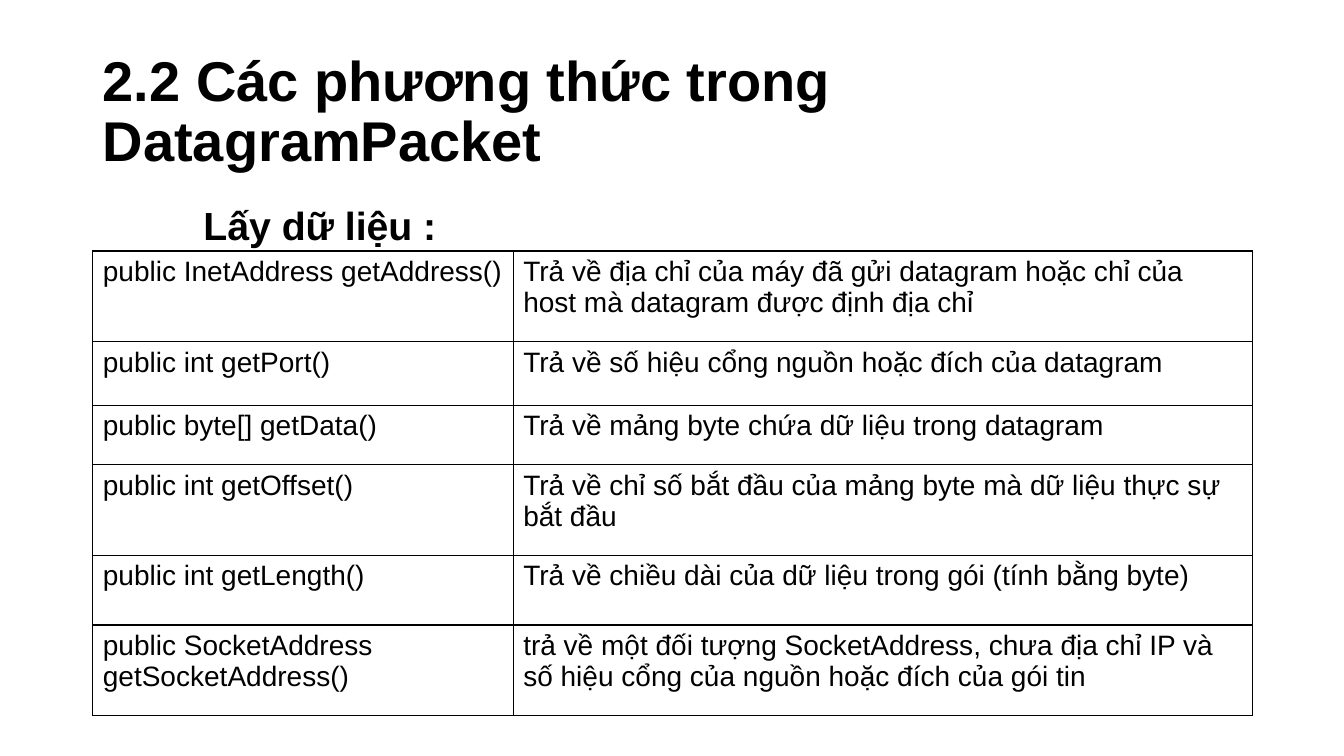
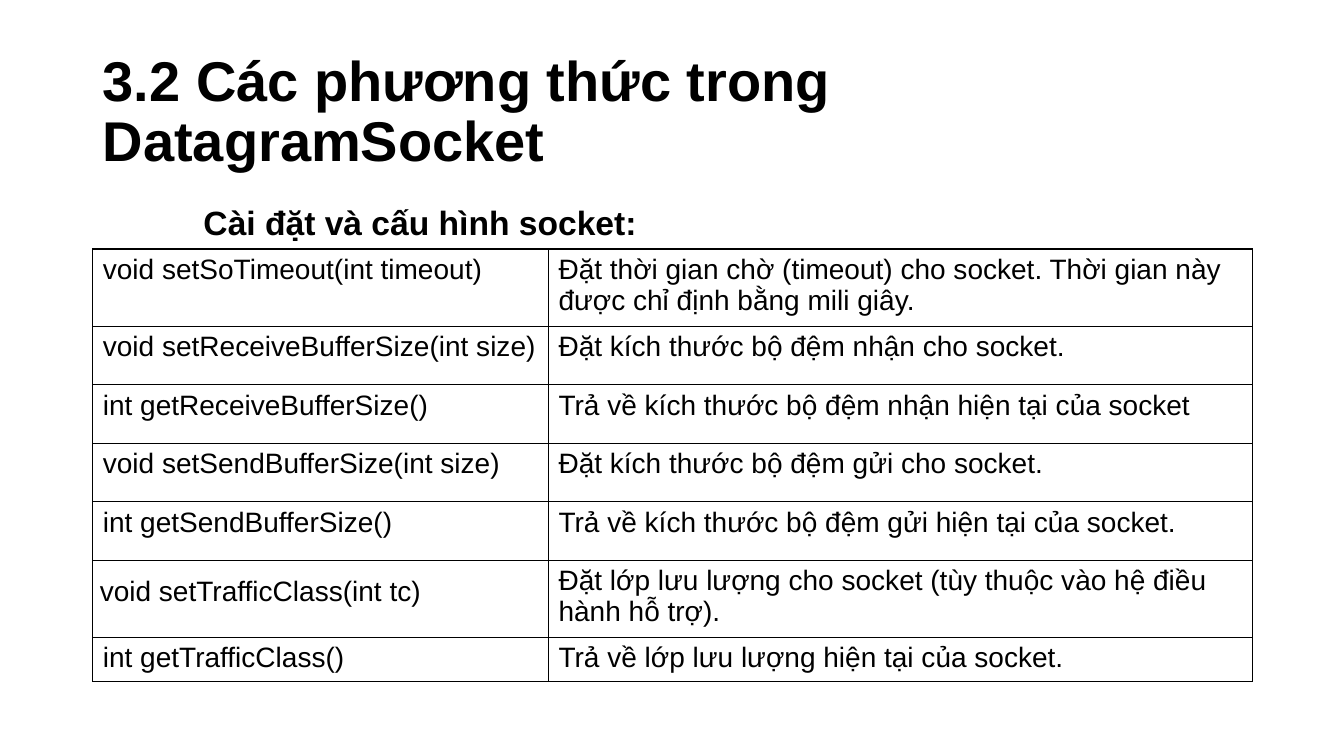
"""Two slides listing the methods of the Java datagram classes."""
from lxml.etree import SubElement
from pptx import Presentation
from pptx.dml.color import RGBColor
from pptx.enum.text import MSO_ANCHOR as Anchor, MSO_AUTO_SIZE as Fit, PP_ALIGN as Align
from pptx.oxml.ns import qn
from pptx.util import Inches, Pt

COLORS = {"ink": "000000"}
FONT = "Arial"
WIDE, HIGH = 13.33, 7.5
LEFT, SPAN = 0.92, 11.5

SLIDES = [
    {
        "title": "2.2 Các phương thức trong DatagramPacket",
        "head": "Lấy dữ liệu :",
        "size": 28,
        "top": 2.49,
        "first": 4.17,
        "rows": [
            (0.9, "public InetAddress getAddress()",
             "Trả về địa chỉ của máy đã gửi datagram hoặc chỉ của host mà datagram được định địa chỉ"),
            (0.63, "public int getPort()", "Trả về số hiệu cổng nguồn hoặc đích của datagram"),
            (0.59, "public byte[] getData()", "Trả về mảng byte chứa dữ liệu trong datagram"),
            (0.9, "public int getOffset()",
             "Trả về chỉ số bắt đầu của mảng byte mà dữ liệu thực sự bắt đầu"),
            (0.69, "public int getLength()",
             "Trả về chiều dài của dữ liệu trong gói (tính bằng byte)"),
            (0.9, "public SocketAddress getSocketAddress()",
             "trả về một đối tượng SocketAddress, chưa địa chỉ IP và số hiệu cổng của nguồn hoặc đích của gói tin"),
        ],
    },
    {
        "title": "3.2 Các phương thức trong DatagramSocket",
        "head": "Cài đặt và cấu hình socket:",
        "size": 24,
        "top": 2.47,
        "first": 4.52,
        "loose": 5,
        "rows": [
            (0.76, "void setSoTimeout(int timeout)",
             "Đặt thời gian chờ (timeout) cho socket. Thời gian này được chỉ định bằng mili giây."),
            (0.58, "void setReceiveBufferSize(int size)", "Đặt kích thước bộ đệm nhận cho socket."),
            (0.58, "int getReceiveBufferSize()", "Trả về kích thước bộ đệm nhận hiện tại của socket"),
            (0.58, "void setSendBufferSize(int size)", "Đặt kích thước bộ đệm gửi cho socket."),
            (0.58, "int getSendBufferSize()", "Trả về kích thước bộ đệm gửi hiện tại của socket."),
            (0.76, "void setTrafficClass(int tc)",
             "Đặt lớp lưu lượng cho socket (tùy thuộc vào hệ điều hành hỗ trợ)."),
            (0.43, "int getTrafficClass()", "Trả về lớp lưu lượng hiện tại của socket."),
        ],
    },
]


def write(frame, text, size, bold=False, lead=None):
    frame.text = text
    para = frame.paragraphs[0]
    para.alignment = Align.LEFT
    para.line_spacing = lead
    font = para.font
    font.name, font.size, font.bold = FONT, Pt(size), bold
    font.color.rgb = RGBColor.from_string(COLORS["ink"])


def edge(cell):
    props = cell._tc.get_or_add_tcPr()
    for side in "LRTB":
        line = SubElement(props, qn(f"a:ln{side}"), w=str(Pt(1)))
        fill = SubElement(line, qn("a:solidFill"))
        SubElement(fill, qn("a:srgbClr"), val=COLORS["ink"])
    cell.fill.background()


def add_title(slide, text):
    title = slide.shapes.title
    title.left, title.top = Inches(LEFT), Inches(0.4)
    title.width, title.height = Inches(SPAN), Inches(1.45)
    frame = title.text_frame
    frame.auto_size, frame.word_wrap = Fit.NONE, True
    frame.vertical_anchor = Anchor.MIDDLE
    write(frame, text, 40, True, 0.9)


def add_head(slide, text, size):
    box = slide.shapes.add_textbox(Inches(LEFT + 1), Inches(2), Inches(SPAN - 1), Inches(0.5))
    box.text_frame.word_wrap = True
    write(box.text_frame, text, size, True, 0.9)


def add_grid(slide, rows, top, first, loose=None):
    high = sum(row[0] for row in rows)
    table = slide.shapes.add_table(
        len(rows), 2, Inches(LEFT), Inches(top), Inches(SPAN), Inches(high)).table
    table.first_row = table.horz_banding = False
    for col, width in zip(table.columns, (first, SPAN - first)):
        col.width = Inches(width)
    for r, (height, *texts) in enumerate(rows):
        table.rows[r].height = Inches(height)
        for c, text in enumerate(texts):
            cell = table.cell(r, c)
            edge(cell)
            wide = r == loose and c == 0
            write(cell.text_frame, text, 20, lead=1.5 if wide else None)
            if wide:
                cell.margin_left = cell.margin_right = Inches(0.07)
                cell.margin_top = cell.margin_bottom = 0


def main():
    deck = Presentation()
    deck.slide_width, deck.slide_height = Inches(WIDE), Inches(HIGH)
    for page in SLIDES:
        slide = deck.slides.add_slide(deck.slide_layouts[5])
        add_title(slide, page["title"])
        add_head(slide, page["head"], page["size"])
        add_grid(slide, page["rows"], page["top"], page["first"], page.get("loose"))
    deck.save("out.pptx")


if __name__ == "__main__":
    main()
